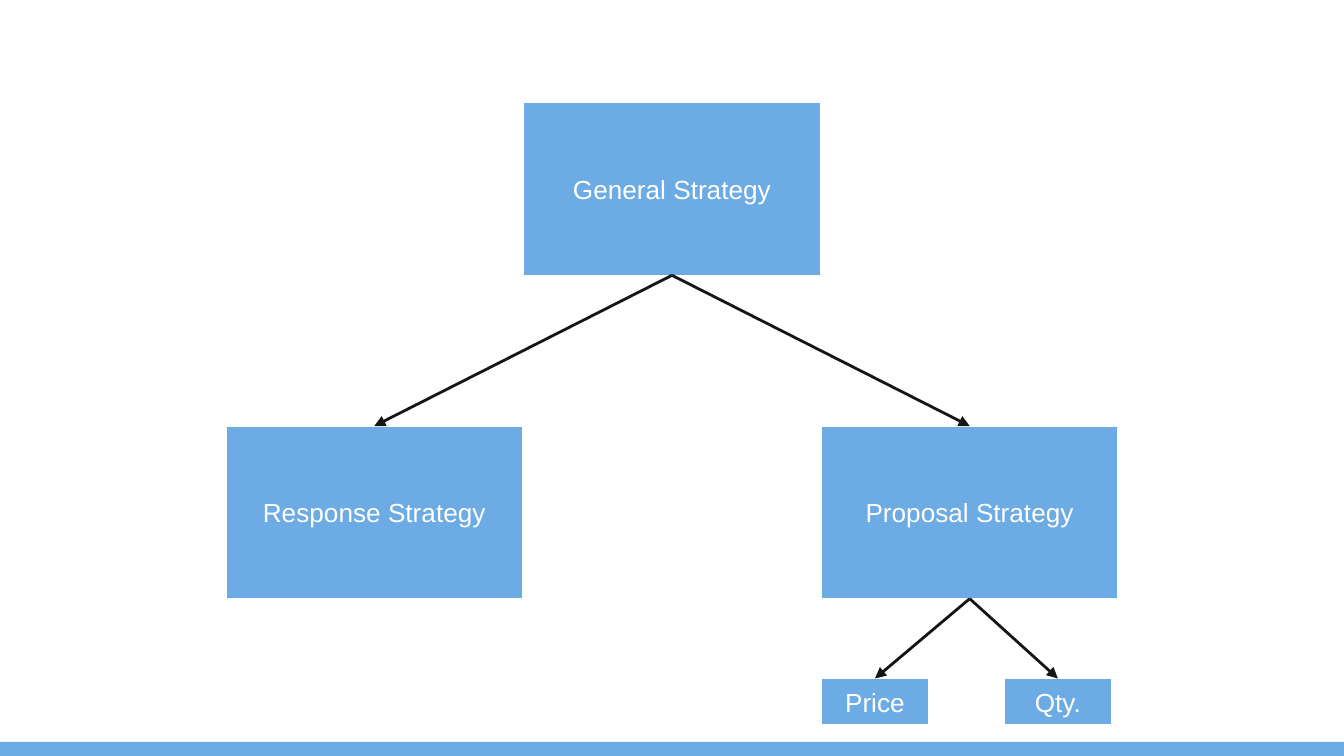
from lxml.etree import SubElement
from pptx import Presentation
from pptx.dml.color import RGBColor
from pptx.enum.shapes import MSO_CONNECTOR as Connector, MSO_SHAPE as Shape
from pptx.enum.text import MSO_ANCHOR as Anchor, PP_ALIGN as Align
from pptx.oxml.ns import qn
from pptx.util import Pt

WIDTH, HEIGHT = 720, 405
BOTTOM, TOP = 2, 0  # connection sites of a rectangle


def color(hex_string):
    return RGBColor.from_string(hex_string)


def write_text(frame, text, font="Arial", size=14, fill="FFFFFF", align=Align.CENTER):
    paragraph = frame.paragraphs[0]
    paragraph.alignment = align
    run = paragraph.add_run()
    run.text = text
    run.font.name = font
    run.font.size = Pt(size)
    run.font.color.rgb = color(fill)


class StrategyTree:
    blue, white, dark = "6DABE4", "FFFFFF", "151518"
    inset = 7.2

    def __init__(self, slide):
        self.slide = slide

    def rectangle(self, left, top, width, height):
        shape = self.slide.shapes.add_shape(
            Shape.RECTANGLE, Pt(left), Pt(top), Pt(width), Pt(height))
        shape.shadow.inherit = False
        shape.fill.solid()
        shape.fill.fore_color.rgb = color(self.blue)
        shape.line.fill.background()
        return shape

    def box(self, text, left, top, width, height):
        shape = self.rectangle(left, top, width, height)
        shape.line.color.rgb = color(self.white)
        shape.line.width = Pt(0.75)
        frame = shape.text_frame
        frame.word_wrap = True
        frame.vertical_anchor = Anchor.MIDDLE
        frame.margin_left = frame.margin_right = Pt(self.inset)
        frame.margin_top = frame.margin_bottom = Pt(self.inset)
        write_text(frame, text, fill=self.white)
        return shape

    def arrow(self, parent, child):
        connector = self.slide.shapes.add_connector(Connector.STRAIGHT, 0, 0, 0, 0)
        connector.begin_connect(parent, BOTTOM)
        connector.end_connect(child, TOP)
        connector.line.color.rgb = color(self.dark)
        connector.line.width = Pt(1.5)
        properties = connector._element.spPr
        SubElement(properties.find(qn("a:ln")), qn("a:tailEnd"), type="triangle")
        SubElement(properties, qn("a:effectLst"))


def main():
    presentation = Presentation()
    presentation.slide_width, presentation.slide_height = Pt(WIDTH), Pt(HEIGHT)
    slide = presentation.slides.add_slide(presentation.slide_layouts[6])
    tree = StrategyTree(slide)

    # Footer bar
    tree.rectangle(0, 397.5, WIDTH, 7.5)

    # Strategy boxes
    large, small = (159, 92.5), (57.5, 25)
    general = tree.box("General Strategy", 280.5, 55, *large)
    response = tree.box("Response Strategy", 121, 228.25, *large)
    proposal = tree.box("Proposal Strategy", 440, 228.25, *large)

    # Parts of the proposal
    price = tree.box("Price", 440, 363.5, *small)
    quantity = tree.box("Qty.", 538, 363.5, *small)

    # Arrows from each parent to its children
    for parent, children in ((general, (response, proposal)),
                             (proposal, (quantity, price))):
        for child in children:
            tree.arrow(parent, child)

    presentation.save("out.pptx")


if __name__ == "__main__":
    main()
